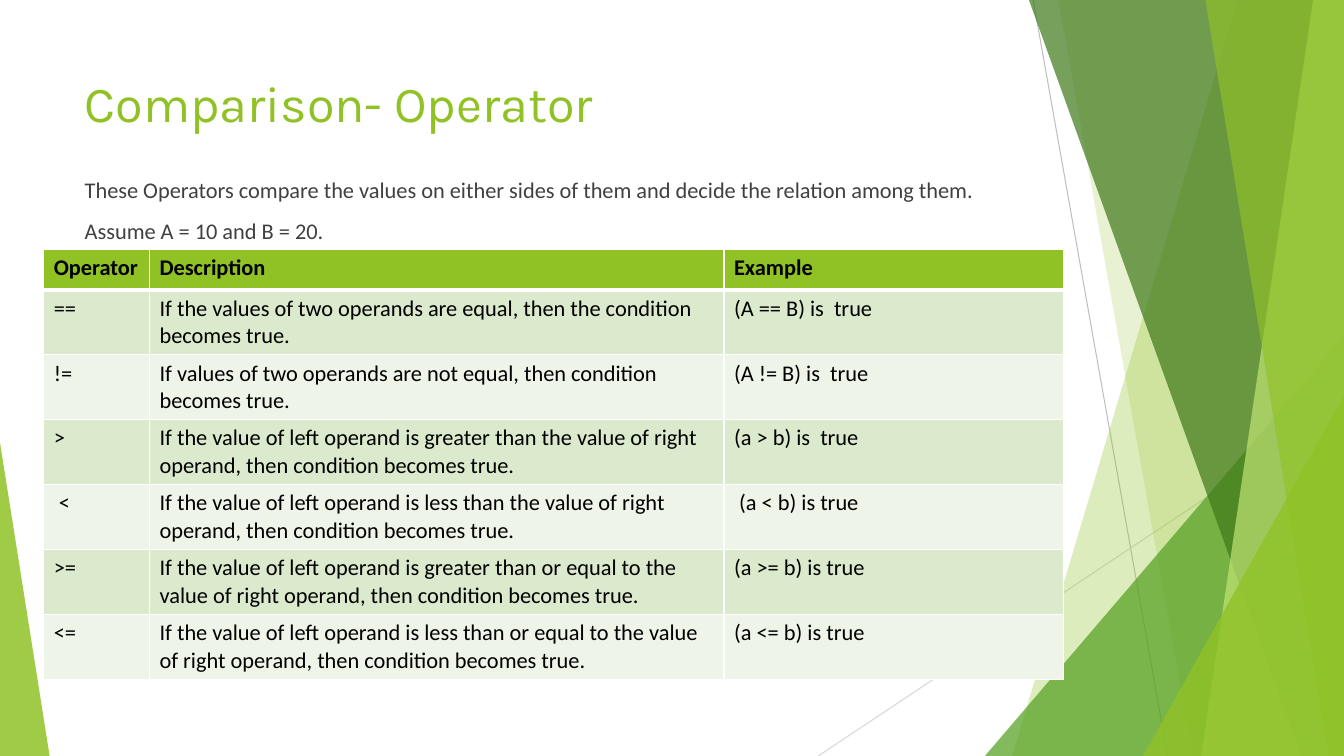
from dataclasses import dataclass

from lxml import etree
from pptx import Presentation
from pptx import util as u
from pptx.dml.color import RGBColor
from pptx.enum import shapes, text
from pptx.oxml import ns
from pptx.util import Pt


@dataclass(frozen=True)
class Theme:
    lime: str = "90C226"
    green: str = "54A021"
    dark: str = "3F7819"
    pale: str = "C0E474"
    gray: str = "BFBFBF"
    mist: str = "D9D9D9"
    white: str = "FFFFFF"
    ink: str = "000000"
    soft: str = "404040"
    bands: tuple = ("DBE9CD", "EEF4E8")
    head: str = "Karla"
    body: str = "Calibri"
    big: int = 36
    small: int = 16


THEME = Theme()
WIDE, HIGH = 960, 540

LINES = [
    ((738, 0), (834, HIGH), THEME.gray),
    ((WIDE, 290), (584.5, HIGH), THEME.mist),
]
# Top left x, bottom left x, colour, opacity; each band runs to the right edge
BANDS_LOW = [
    (884, 723, THEME.lime, 30),
    (756, 852, THEME.lime, 20),
]
BANDS_TOP = [
    (735, 929.5, THEME.dark, 70),
    (938, 858, THEME.pale, 70),
    (861, 949, THEME.lime, 65),
]
# Left, top, width, apex position, colour, opacity; each stands on the bottom edge
PEAK_MID = (703.5, 240, 256.5, 1, THEME.green, 72)
PEAKS_TOP = [
    (816.5, 283, 143.5, 1, THEME.lime, 80),
    (0, 316, 35.5, 0, THEME.lime, 85),
]

INTRO = [
    "These Operators compare the values on either sides of them and decide the relation among them.",
    "Assume A = 10 and B = 20.",
]
COLS = (75.6, 410.4, 242.6)
ROWS = [
    ("Operator", "Description", "Example"),
    ("==", "If the values of two operands are equal, then the condition becomes true.",
     "(A == B) is  true"),
    ("!=", "If values of two operands are not equal, then condition becomes true.",
     "(A != B) is  true"),
    (">", "If the value of left operand is greater than the value of right operand, "
     "then condition becomes true.", "(a > b) is  true"),
    (" <", "If the value of left operand is less than the value of right operand, "
     "then condition becomes true.", " (a < b) is true"),
    (">=", "If the value of left operand is greater than or equal to the value of right operand, "
     "then condition becomes true.", "(a >= b) is true"),
    ("<=", "If the value of left operand is less than or equal to the value of right operand, "
     "then condition becomes true.", "(a <= b) is true"),
]


def rgb(code):
    return RGBColor.from_string(code)


def style(para, font, size, color, bold=False):
    para.alignment = text.PP_ALIGN.LEFT
    for run in para.runs:
        run.font.name, run.font.size, run.font.bold = font, Pt(size), bold
        run.font.color.rgb = rgb(color)


def paint(shape, color, alpha):
    """Fill a shape with a see-through colour, without line or shadow."""
    shape.shadow.inherit = False
    shape.line.fill.background()
    shape.fill.solid()
    shape.fill.fore_color.rgb = rgb(color)
    tint = shape.element.spPr.find(ns.qn("a:solidFill"))[0]
    etree.SubElement(tint, ns.qn("a:alpha"), val=str(alpha * 1000))


def add_line(slide, start, end, color):
    line = slide.shapes.add_connector(
        shapes.MSO_CONNECTOR.STRAIGHT, *map(Pt, start + end))
    line.line.color.rgb = rgb(color)
    line.line.width = Pt(0.75)
    etree.SubElement(line.element.spPr, ns.qn("a:effectLst"))


def add_band(slide, top, low, color, alpha):
    pen = slide.shapes.build_freeform(Pt(top), 0)
    pen.add_line_segments(
        [(Pt(x), Pt(y)) for x, y in ((WIDE, 0), (WIDE, HIGH), (low, HIGH))])
    paint(pen.convert_to_shape(), color, alpha)


def add_peak(slide, left, top, width, apex, color, alpha):
    peak = slide.shapes.add_shape(
        shapes.MSO_SHAPE.ISOSCELES_TRIANGLE,
        Pt(left), Pt(top), Pt(width), Pt(HIGH - top))
    peak.adjustments[0] = apex
    paint(peak, color, alpha)


def add_decor(slide):
    for line in LINES:
        add_line(slide, *line)
    for band in BANDS_LOW:
        add_band(slide, *band)
    add_peak(slide, *PEAK_MID)
    for band in BANDS_TOP:
        add_band(slide, *band)
    for peak in PEAKS_TOP:
        add_peak(slide, *peak)


def place(holder, top, height):
    """Move a placeholder to its spot, in front of the shapes drawn so far."""
    holder.left, holder.top = Pt(53.3), Pt(top)
    holder.width, holder.height = Pt(676.8), Pt(height)
    frame = holder.text_frame
    frame.word_wrap = True
    frame.auto_size = text.MSO_AUTO_SIZE.NONE
    frame.vertical_anchor = text.MSO_ANCHOR.TOP
    holder.element.getparent().append(holder.element)
    return frame


def set_title(slide, words):
    frame = place(slide.shapes.title, 48, 104)
    frame.text = words
    style(frame.paragraphs[0], THEME.head, THEME.big, THEME.lime)


def set_body(slide, lines):
    frame = place(slide.placeholders[1], 122.4, 305)
    frame.text = "\n".join(lines)
    for i, para in enumerate(frame.paragraphs):
        props = para._p.get_or_add_pPr()
        props.set("marL", "0")
        props.set("indent", "0")
        etree.SubElement(props, ns.qn("a:buNone"))
        para.space_before = Pt(10 if i else 0)
        style(para, THEME.body, THEME.small, THEME.soft)


def set_edges(cell, row):
    """Draw white cell borders, thick between the header and the first row."""
    props = cell._tc.get_or_add_tcPr()
    thick = {(0, "B"), (1, "T")}
    for i, side in enumerate("LRTB"):
        width = Pt(3 if (row, side) in thick else 1)
        edge = etree.Element(ns.qn("a:ln" + side), w=str(int(width)))
        fill = etree.SubElement(edge, ns.qn("a:solidFill"))
        etree.SubElement(fill, ns.qn("a:srgbClr"), val=THEME.white)
        props.insert(i, edge)


def add_grid(slide, rows, cols):
    high = [28.8] + [44.6] * (len(rows) - 1)
    grid = slide.shapes.add_table(
        len(rows), len(cols), Pt(31.2), Pt(178.2), Pt(sum(cols)), Pt(sum(high))).table
    for col, width in zip(grid.columns, cols):
        col.width = Pt(width)
    for r, line in enumerate(rows):
        grid.rows[r].height = Pt(high[r])
        for c, words in enumerate(line):
            cell = grid.cell(r, c)
            cell.text = words
            cell.fill.solid()
            cell.fill.fore_color.rgb = rgb(THEME.bands[(r - 1) % 2] if r else THEME.lime)
            set_edges(cell, r)
            style(cell.text_frame.paragraphs[0], THEME.body, THEME.small, THEME.ink, r == 0)


def main():
    deck = Presentation()
    deck.slide_width, deck.slide_height = u.Pt(WIDE), u.Pt(HIGH)
    slide = deck.slides.add_slide(deck.slide_layouts[1])
    add_decor(slide)
    set_title(slide, "Comparison- Operator")
    set_body(slide, INTRO)
    add_grid(slide, ROWS, COLS)
    deck.save("out.pptx")


if __name__ == "__main__":
    main()
